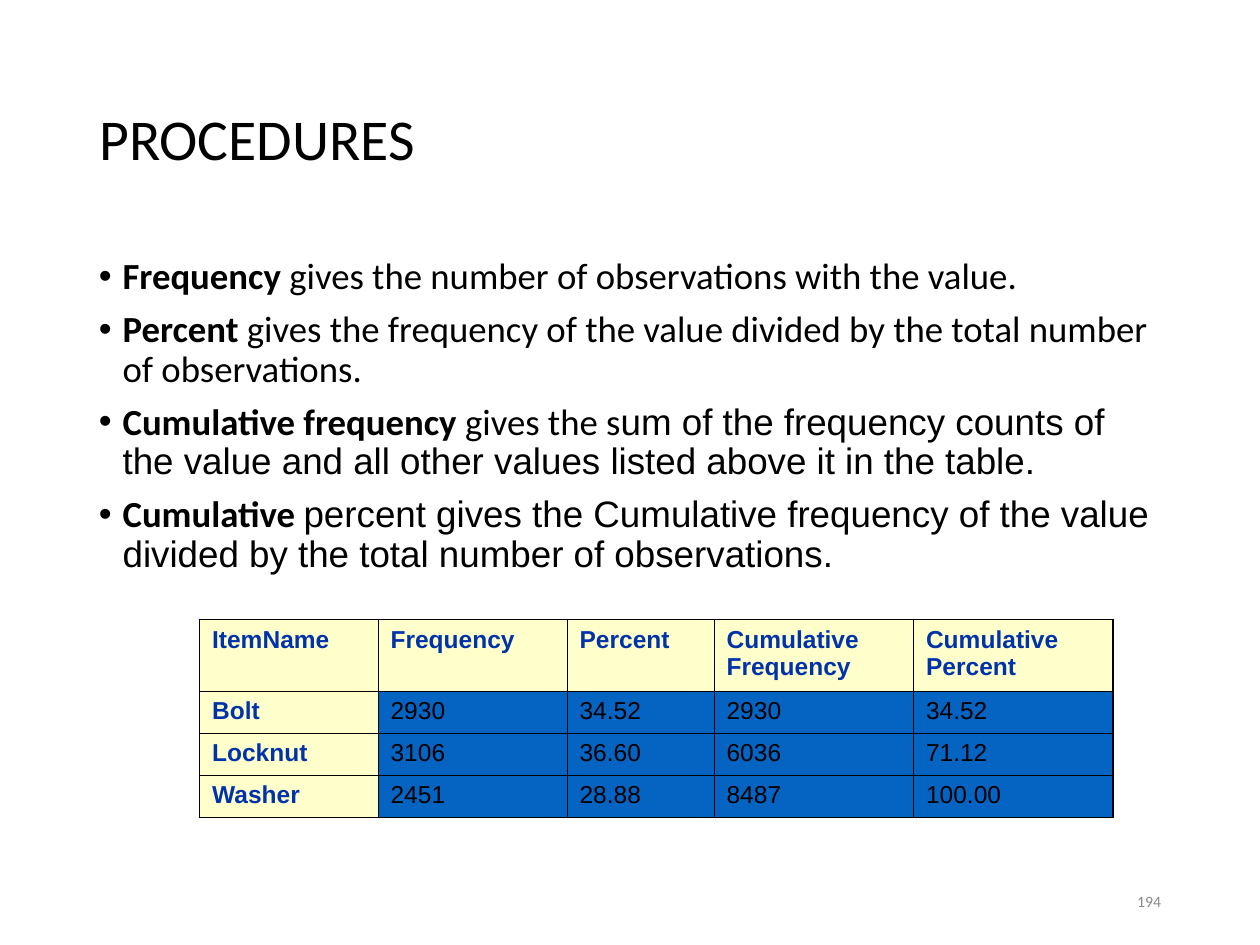
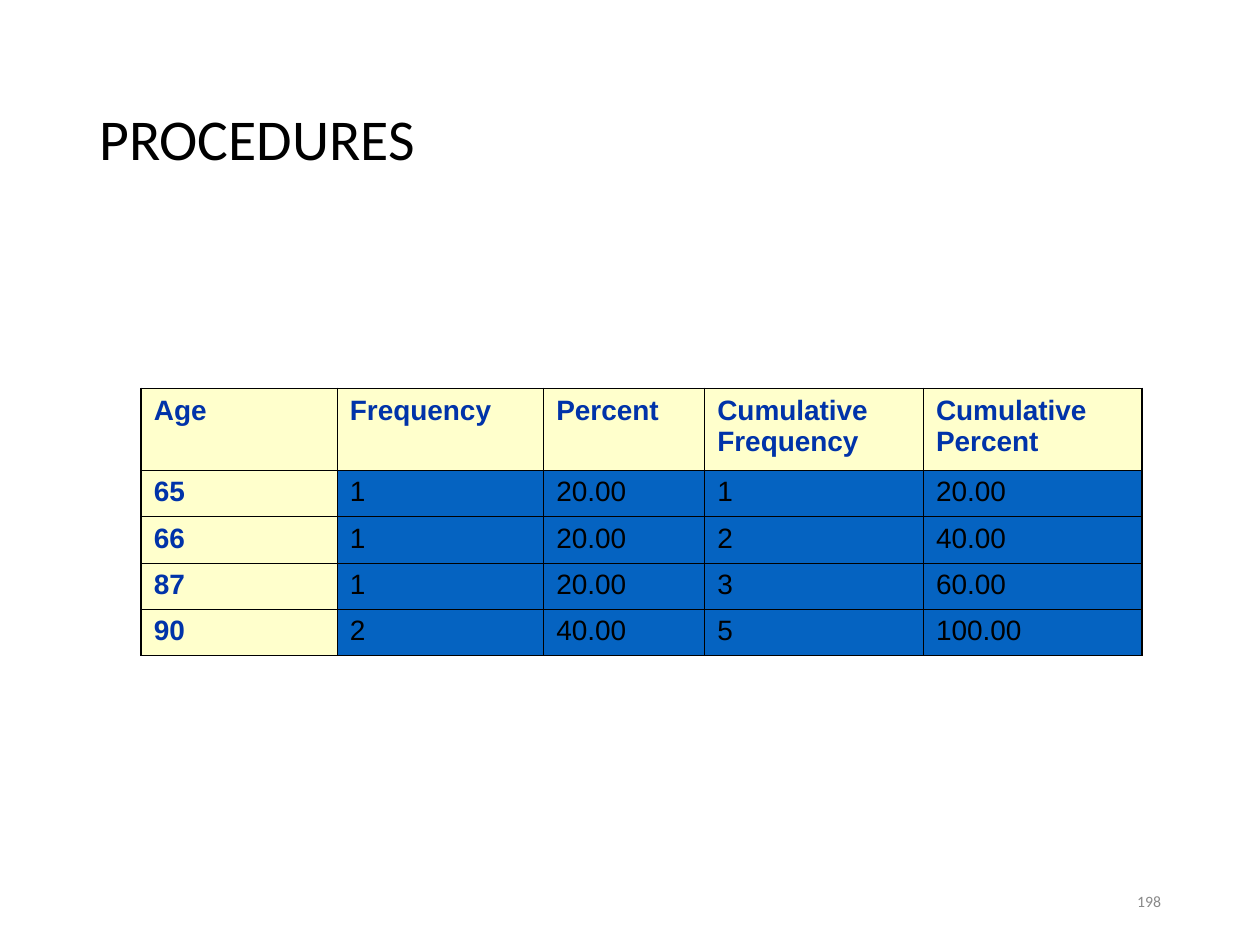
from lxml import etree
from pptx import Presentation
from pptx import util as u
from pptx.dml.color import RGBColor
from pptx.enum import text
from pptx.oxml import ns

COLORS = {"ink": "000000", "number": "898989", "label": "0033A9",
          "label_fill": "FFFFCC", "value_fill": "0563C1"}
TITLE_BOX = (49.5, 28.75, 621, 104.5)
BODY_BOX = (49.5, 144, 621, 342.5)
NUMBER_BOX = (508.5, 500.5, 162, 28.75)
TITLE_FONT = {"name": "Calibri", "size": u.Pt(33), "bold": False}
BODY_FONT = {"name": "Calibri", "size": u.Pt(21), "bold": False}
NUMBER_FONT = {"name": "Calibri", "size": u.Pt(9), "bold": False}
THIN, THICK = u.Pt(0.45), u.Pt(1.08)
HEADINGS = ["Frequency", "Percent", "Cumulative\vFrequency", "Cumulative\vPercent"]

DEFINITIONS = [
    [("Frequency ", {"bold": True}),
     ("gives the number of observations with the value.", {})],
    [("Percent ", {"bold": True}),
     ("gives the frequency of the value divided by the total number of observations.", {})],
    [("Cumulative frequency ", {"bold": True}),
     ("gives the s", {}),
     ("um of the frequency counts of the value and all other values listed above it "
      "in the table.", {"name": "Arial"})],
    [("Cumulative ", {"bold": True}),
     ("percent gives the Cumulative frequency of the value divided by the total number "
      "of observations.", {"name": "Arial"})],
]
ITEM_ROWS = [
    ["ItemName", *HEADINGS],
    ["Bolt", "2930", "34.52", "2930", "34.52"],
    ["Locknut", "3106", "36.60", "6036", "71.12"],
    ["Washer", "2451", "28.88", "8487", "100.00"],
]
AGE_ROWS = [
    ["Age", *HEADINGS],
    ["65", "1", "20.00", "1", "20.00"],
    ["66", "1", "20.00", "2", "40.00"],
    ["87", "1", "20.00", "3", "60.00"],
    ["90", "2", "40.00", "5", "100.00"],
]


def points(box):
    """Turn a sequence of numbers into point lengths."""
    return [u.Pt(n) for n in box]


def set_all(obj, values):
    """Set each attribute of obj that values names."""
    for name, value in values.items():
        setattr(obj, name, value)


def style_runs(p, font, color):
    """Give every run of a paragraph one font and colour."""
    for r in p.runs:
        set_all(r.font, font)
        r.font.color.rgb = RGBColor.from_string(COLORS[color])


def add_child(parent, tag, **attrs):
    """Append a drawing element with its attributes."""
    return etree.SubElement(parent, ns.qn(tag), attrs)


def add_title(s, box, title):
    """Place and format the title placeholder."""
    sp = s.shapes.title
    set_all(sp, dict(zip(("left", "top", "width", "height"), points(box))))
    tf = sp.text_frame
    set_all(tf, {"text": title, "word_wrap": True,
                 "auto_size": text.MSO_AUTO_SIZE.NONE,
                 "vertical_anchor": text.MSO_ANCHOR.MIDDLE})
    p = tf.paragraphs[0]
    set_all(p, {"alignment": text.PP_ALIGN.LEFT, "line_spacing": 0.9})
    style_runs(p, TITLE_FONT, "ink")


def add_number(s, box, number):
    """Write the slide number at the right of its box."""
    tf = s.shapes.add_textbox(*points(box)).text_frame
    set_all(tf, {"text": str(number), "word_wrap": True,
                 "vertical_anchor": text.MSO_ANCHOR.MIDDLE})
    p = tf.paragraphs[0]
    p.alignment = text.PP_ALIGN.RIGHT
    style_runs(p, NUMBER_FONT, "number")


def add_bullet(p):
    """Give a paragraph a hanging round bullet."""
    pPr = p._p.get_or_add_pPr()
    set_all_indent = {"marL": u.Pt(13.5), "indent": -u.Pt(13.5)}
    for name, value in set_all_indent.items():
        pPr.set(name, str(value))
    add_child(add_child(pPr, "a:buClr"), "a:srgbClr", val=COLORS["ink"])
    add_child(pPr, "a:buFont", typeface="Arial")
    add_child(pPr, "a:buChar", char="•")


def add_definitions(s, box, definitions):
    """Write the bulleted definitions."""
    tf = s.shapes.add_textbox(*points(box)).text_frame
    tf.word_wrap = True
    for i, parts in enumerate(definitions):
        p = tf.add_paragraph() if i else tf.paragraphs[0]
        add_bullet(p)
        set_all(p, {"line_spacing": 0.9, "space_before": u.Pt(7.5 if i else 0)})
        for words, change in parts:
            r = p.add_run()
            r.text = words
            set_all(r.font, {**BODY_FONT, **change})
            r.font.color.rgb = RGBColor.from_string(COLORS["ink"])


def add_borders(cell, outer):
    """Draw the four cell borders, thick on the outer sides."""
    tcPr = cell._tc.get_or_add_tcPr()
    for side in "LRTB":
        ln = add_child(tcPr, f"a:ln{side}", w=str(THICK if outer[side] else THIN))
        add_child(add_child(ln, "a:solidFill"), "a:srgbClr", val=COLORS["ink"])


def add_frequency_table(s, corner, widths, heights, rows, size):
    """Build a frequency table with labelled first row and column."""
    box = (*corner, sum(widths), sum(heights))
    table = s.shapes.add_table(len(rows), len(widths), *points(box)).table
    set_all(table, {"first_row": False, "horz_banding": False})
    for column, width in zip(table.columns, widths):
        column.width = u.Pt(width)
    for row, height in zip(table.rows, heights):
        row.height = u.Pt(height)
    for i, row in enumerate(rows):
        for j, value in enumerate(row):
            cell = table.cell(i, j)
            is_label = i == 0 or j == 0
            add_borders(cell, {"L": j == 0, "R": j == len(row) - 1,
                               "T": i == 0, "B": i == len(rows) - 1})
            cell.fill.solid()
            fill = COLORS["label_fill" if is_label else "value_fill"]
            cell.fill.fore_color.rgb = RGBColor.from_string(fill)
            p = cell.text_frame.paragraphs[0]
            p.text = value
            style_runs(p, {"name": "Arial", "size": u.Pt(size), "bold": is_label},
                       "label" if is_label else "ink")


def add_procedures_slide(prs, number):
    """Add a slide with the shared title and its number."""
    s = prs.slides.add_slide(prs.slide_layouts.get_by_name("Title Only"))
    add_title(s, TITLE_BOX, "PROCEDURES")
    add_number(s, NUMBER_BOX, number)
    return s


def main():
    """Build and save the presentation."""
    prs = Presentation()
    set_all(prs, {"slide_width": u.Pt(720), "slide_height": u.Pt(540)})
    s = add_procedures_slide(prs, 194)
    add_definitions(s, BODY_BOX, DEFINITIONS)
    add_frequency_table(s, (114, 354), [102, 108, 84, 114, 114],
                        [41] + [24] * 3, ITEM_ROWS, 14)
    s = add_procedures_slide(prs, 198)
    add_frequency_table(s, (80.75, 222), [112, 118, 92, 125, 125],
                        [46.75] + [26.5] * 4, AGE_ROWS, 16)
    prs.save("out.pptx")


if __name__ == "__main__":
    main()
